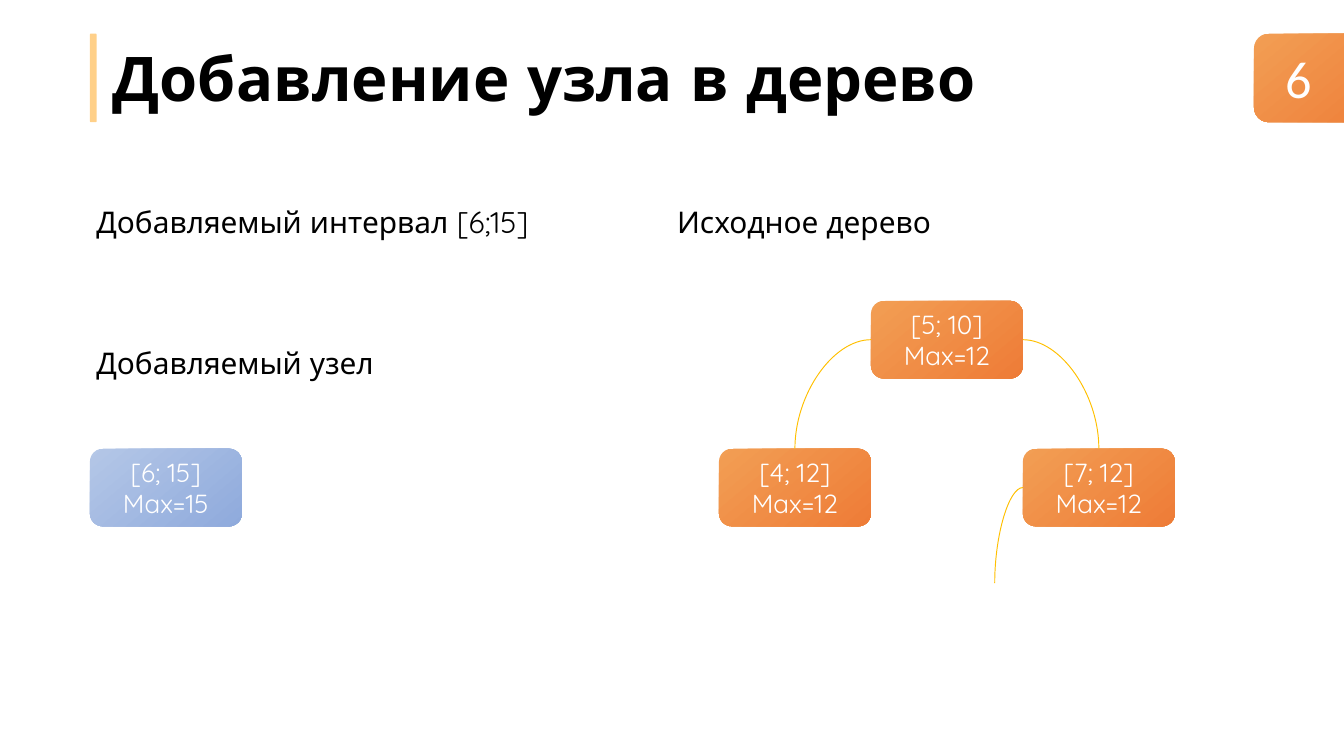
from lxml.etree import SubElement
from pptx import Presentation
from pptx.dml.color import RGBColor
from pptx.enum.shapes import MSO_CONNECTOR as Connector, MSO_SHAPE as Shape
from pptx.enum.text import MSO_ANCHOR as Anchor, MSO_AUTO_SIZE as AutoSize, PP_ALIGN as Align
from pptx.oxml.ns import qn
from pptx.util import Pt

BLACK = RGBColor(0x00, 0x00, 0x00)
WHITE = RGBColor(0xFF, 0xFF, 0xFF)
SAND = RGBColor(0xFF, 0xD0, 0x89)
GOLD = RGBColor(0xFF, 0xC0, 0x00)
ORANGE = (RGBColor(0xF2, 0x9E, 0x54), RGBColor(0xEE, 0x7C, 0x37))
BLUE = (RGBColor(0xB4, 0xC7, 0xE7), RGBColor(0x8F, 0xAA, 0xDC))
FONT = "Quicksand"
NUMBER_FONT = "Calibri"

NODE_W, NODE_H = 81.4, 41.6
LEVEL_STEP = 79.2
STUB_W, STUB_H = 15.1, 51.2


def write(frame, text, size, color, font=FONT, bold=False, align=Align.LEFT):
    frame.text = text
    for paragraph in frame.paragraphs:
        paragraph.alignment = align
        for run in paragraph.runs:
            run.font.name = font
            run.font.size = Pt(size)
            run.font.bold = bold
            run.font.color.rgb = color


def add_label(slide, box, text, size=16, color=BLACK, font=FONT):
    label = slide.shapes.add_textbox(*map(Pt, box))
    label.text_frame.word_wrap = True
    label.text_frame.auto_size = AutoSize.SHAPE_TO_FIT_TEXT
    write(label.text_frame, text, size, color, font)


def add_rounded(slide, box):
    rounded = slide.shapes.add_shape(Shape.ROUNDED_RECTANGLE, *map(Pt, box))
    rounded.shadow.inherit = False
    rounded.line.fill.background()
    return rounded


def add_gradient_box(slide, box, colors):
    rounded = add_rounded(slide, box)
    rounded.fill.gradient()
    rounded.fill.gradient_angle = 310
    for stop, color, position in zip(rounded.fill.gradient_stops, colors, (0, 1)):
        stop.color.rgb = color
        stop.position = position
    return rounded


def add_node(slide, left, top, interval, maximum, colors=ORANGE):
    node = add_gradient_box(slide, (left, top, NODE_W, NODE_H), colors)
    node.text_frame.vertical_anchor = Anchor.MIDDLE
    write(node.text_frame, f"{interval}\nMax={maximum}", 14, WHITE, align=Align.CENTER)


def add_branch(slide, start, end):
    branch = slide.shapes.add_connector(Connector.CURVE, *map(Pt, start + end))
    properties = branch._element.spPr
    properties.find(qn("a:prstGeom")).set("prst", "curvedConnector2")
    branch.line.color.rgb = GOLD
    branch.line.width = Pt(0.5)
    SubElement(properties, qn("a:effectLst"))


def add_header(slide, left, top, width, height, text):
    title = slide.shapes.title
    title.left, title.top = Pt(left + 5), Pt(top)
    title.width, title.height = Pt(width - 5), Pt(height)
    frame = title.text_frame
    frame.word_wrap = True
    frame.auto_size = AutoSize.NONE
    frame.vertical_anchor = Anchor.TOP
    write(frame, text, 33, BLACK, bold=True)
    bar = add_rounded(slide, (left, top, 3.6, height))
    bar.fill.solid()
    bar.fill.fore_color.rgb = SAND


def add_page_number(slide, left, top, width, height, number):
    add_gradient_box(slide, (left, top, width, height), ORANGE)
    add_label(slide, (left + 9.5, top + 3.4, 30.2, 41.2), number, 28, WHITE, NUMBER_FONT)


def add_new_node_column(slide, left, top, width):
    add_label(slide, (left, top, width, 26.6), "Добавляемый интервал [6;15]")
    add_label(slide, (left, top + 75.6, width, 26.6), "Добавляемый узел")
    add_node(slide, left + 3.6, top + 134.6, "[6; 15]", 15, BLUE)


def add_tree_column(slide, left, top, width):
    add_label(slide, (left, top, width, 26.6), "Исходное дерево")
    tree_left, root_top = left + 29.5, top + 55.4
    root_left, right_left = tree_left + NODE_W, tree_left + 2 * NODE_W
    child_top = root_top + LEVEL_STEP
    add_node(slide, root_left, root_top, "[5; 10]", 12)
    add_node(slide, tree_left, child_top, "[4; 12]", 12)
    add_node(slide, right_left, child_top, "[7; 12]", 12)

    root_middle = root_top + NODE_H / 2
    child_middle = child_top + NODE_H / 2
    add_branch(slide, (root_left, root_middle), (tree_left + NODE_W / 2, child_top))
    add_branch(slide, (right_left, root_middle), (right_left + NODE_W / 2, child_top))
    add_branch(slide, (right_left, child_middle),
               (right_left - STUB_W, child_middle + STUB_H))


def main():
    presentation = Presentation()
    presentation.slide_width, presentation.slide_height = Pt(720), Pt(405)
    slide = presentation.slides.add_slide(presentation.slide_layouts[5])
    add_header(slide, 48.2, 18, 540.7, 47.5, "Добавление узла в дерево")
    add_page_number(slide, 671.8, 18, 79.2, 47.5, "6")
    add_new_node_column(slide, 44.6, 105.8, 326.2)
    add_tree_column(slide, 355.7, 105.8, 326.2)
    presentation.save("out.pptx")


if __name__ == "__main__":
    main()
